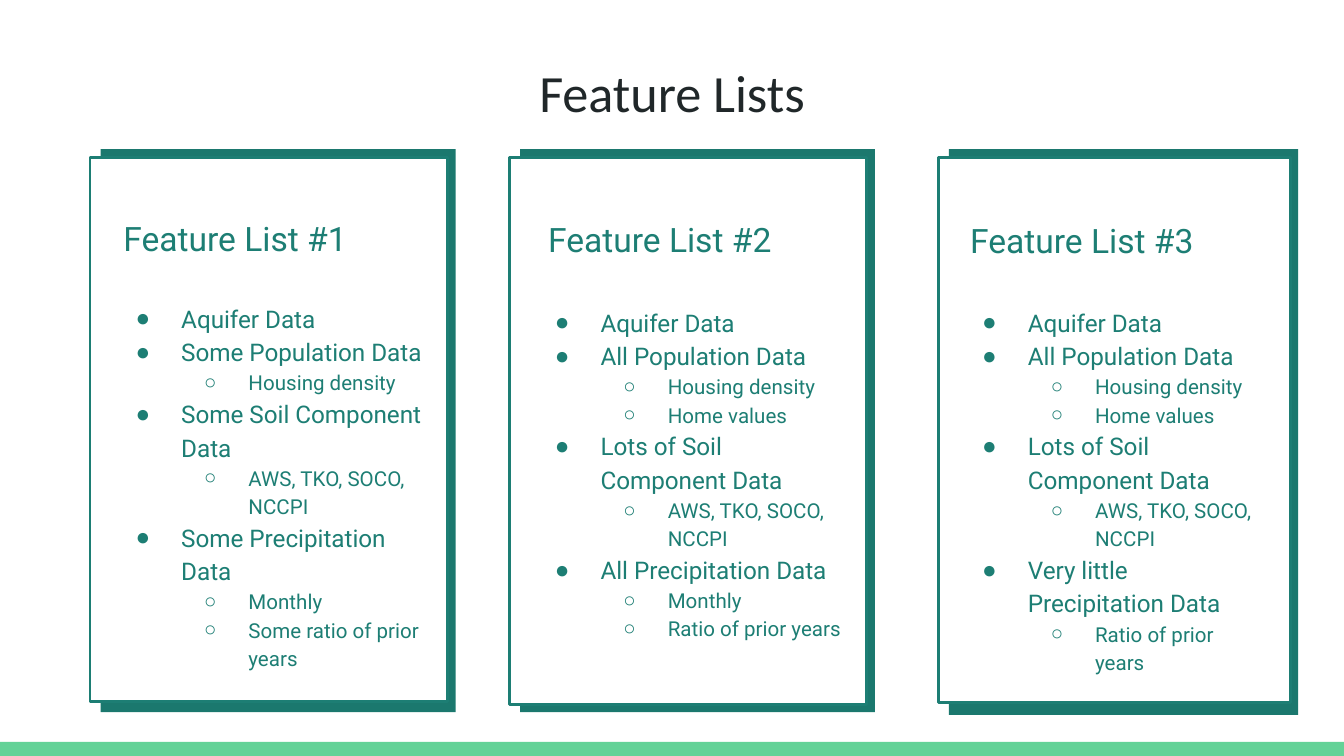
from lxml.etree import SubElement
from pptx import Presentation
from pptx.dml.color import RGBColor
from pptx.enum.shapes import MSO_SHAPE
from pptx.enum.text import PP_ALIGN
from pptx.oxml.ns import qn
from pptx.util import Inches, Pt

TEAL, SHADE, GREEN = "1D7E74", "1B786E", "63D297"
WHITE, INK = "FFFFFF", "202729"
TITLE = {"name": "Calibri", "size": Pt(28)}
HEADING = {"name": "Roboto", "size": Pt(18)}
# Bullet character, left indent, hanging indent and font for each level
LEVELS = [
    ("●", 0.5, 0.34, {"name": "Roboto", "size": Pt(13)}),
    ("○", 1.0, 0.33, {"name": "Roboto", "size": Pt(11)}),
]

# Each card: box of the shade, panel height, heading box, list box, items
CARDS = [
    ("Feature List #1", (0.75, 1.11, 2.64, 4.19), 4.05,
     (0.82, 1.52, 2.36, 0.61), (0.75, 2.13, 2.51, 2.95),
     [(0, "Aquifer Data"), (0, "Some Population Data"),
      (1, "Housing density"), (0, "Some Soil Component Data"),
      (1, "AWS, TKO, SOCO, NCCPI"), (0, "Some Precipitation Data"),
      (1, "Monthly"), (1, "Some ratio of prior years")]),
    ("Feature List #2", (3.87, 1.11, 2.64, 4.19), 4.07,
     (3.98, 1.53, 2.36, 0.63), (3.87, 2.16, 2.51, 2.97),
     [(0, "Aquifer Data"), (0, "All Population Data"),
      (1, "Housing density"), (1, "Home values"),
      (0, "Lots of Soil Component Data"), (1, "AWS, TKO, SOCO, NCCPI"),
      (0, "All Precipitation Data"), (1, "Monthly"),
      (1, "Ratio of prior years")]),
    ("Feature List #3", (7.06, 1.11, 2.6, 4.21), 4.06,
     (7.12, 1.54, 2.32, 0.63), (7.05, 2.16, 2.47, 2.9),
     [(0, "Aquifer Data"), (0, "All Population Data"),
      (1, "Housing density"), (1, "Home values"),
      (0, "Lots of Soil Component Data"), (1, "AWS, TKO, SOCO, NCCPI"),
      (0, "Very little Precipitation Data"), (1, "Ratio of prior years")]),
]


def rgb(color):
    return RGBColor.from_string(color)


def add_rect(shapes, box, fill, line=None):
    sp = shapes.add_shape(MSO_SHAPE.RECTANGLE, *map(Inches, box))
    sp.shadow.inherit = False
    sp.fill.solid()
    sp.fill.fore_color.rgb = rgb(fill)
    if line:
        sp.line.color.rgb = rgb(line)
        sp.line.width = Pt(1.5)
    else:
        sp.line.fill.background()


def add_frame(shapes, box):
    tf = shapes.add_textbox(*map(Inches, box)).text_frame
    tf.word_wrap = True
    for side in ("left", "top", "right", "bottom"):
        setattr(tf, f"margin_{side}", Inches(0.1))
    return tf


def add_run(p, text, font, color):
    r = p.add_run()
    r.text = text
    for key, value in font.items():
        setattr(r.font, key, value)
    r.font.color.rgb = rgb(color)


def add_label(shapes, box, text, font, color, align=PP_ALIGN.LEFT):
    p = add_frame(shapes, box).paragraphs[0]
    p.alignment = align
    add_run(p, text, font, color)


def set_bullet(p, char, left, hang, color):
    pPr = p._p.get_or_add_pPr()
    pPr.set("marL", str(Inches(left)))
    pPr.set("indent", str(-Inches(hang)))
    clr = SubElement(pPr, qn("a:buClr"))
    SubElement(clr, qn("a:srgbClr"), val=color)
    SubElement(pPr, qn("a:buFont"), typeface="Arial")
    SubElement(pPr, qn("a:buChar"), char=char)


def add_list(shapes, box, items):
    tf = add_frame(shapes, box)
    for i, (level, text) in enumerate(items):
        p = tf.add_paragraph() if i else tf.paragraphs[0]
        char, left, hang, font = LEVELS[level]
        set_bullet(p, char, left, hang, TEAL)
        p.level = level
        p.line_spacing = 1.15
        add_run(p, text, font, TEAL)


def add_card(s, heading, shade, panel_height, heading_box, list_box, items):
    shapes = s.shapes.add_group_shape().shapes
    x, y, w, _ = shade
    add_rect(shapes, shade, SHADE)
    add_rect(shapes, (x - 0.08, y + 0.06, w + 0.02, panel_height), WHITE, TEAL)
    add_label(shapes, heading_box, heading, HEADING, TEAL)
    add_list(shapes, list_box, items)


def main():
    # Widescreen slide, 16:9
    prs = Presentation()
    prs.slide_width = Inches(10)
    prs.slide_height = prs.slide_width * 9 // 16
    s = prs.slides.add_slide(prs.slide_layouts[6])

    # Footer bar and title
    add_rect(s.shapes, (0, 5.52, 10, 0.11), GREEN)
    add_label(s.shapes, (0.34, 0.35, 9.32, 0.63), "Feature Lists", TITLE, INK,
              PP_ALIGN.CENTER)

    # Feature cards
    for card in CARDS:
        add_card(s, *card)

    prs.save("out.pptx")


if __name__ == "__main__":
    main()
